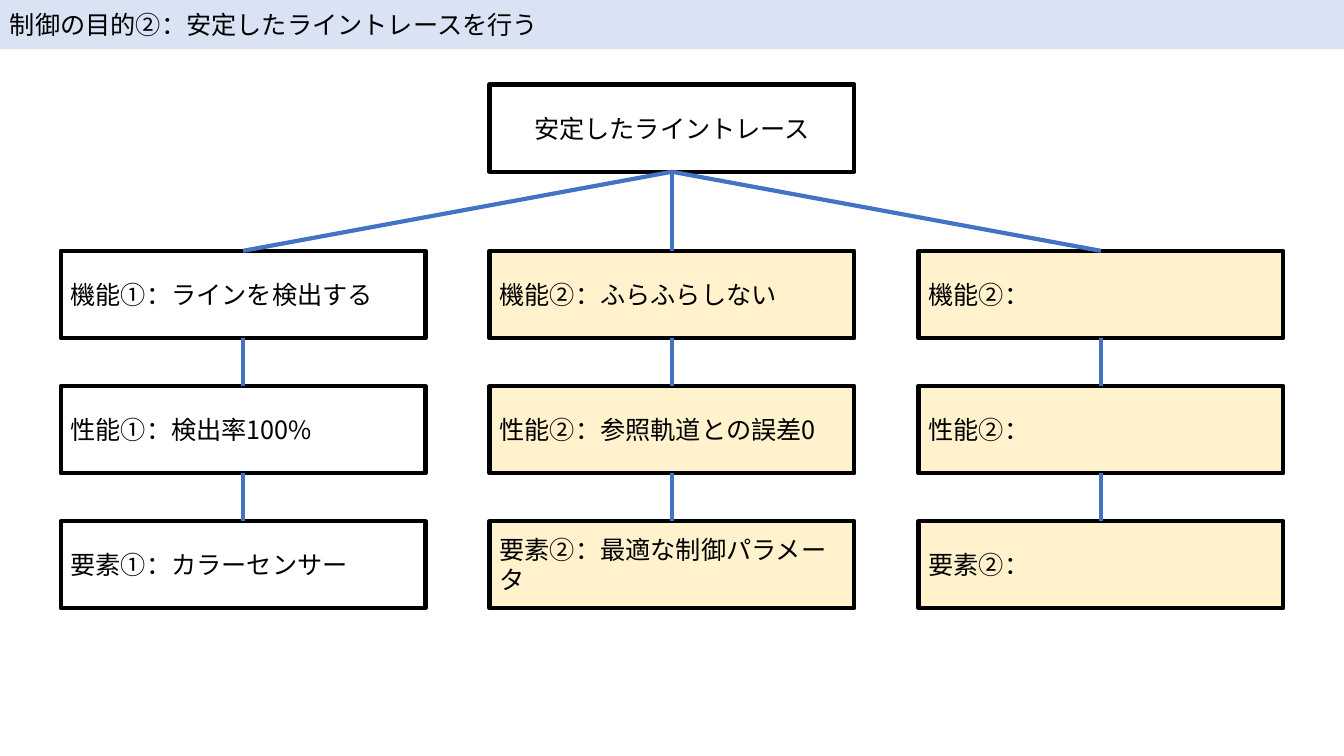
from lxml import etree
from pptx import Presentation
from pptx.dml.color import RGBColor
from pptx.enum.shapes import MSO_CONNECTOR, MSO_SHAPE
from pptx.enum.text import MSO_ANCHOR, PP_ALIGN
from pptx.oxml.ns import qn
from pptx.util import Pt

RECTANGLE = MSO_SHAPE.RECTANGLE
STRAIGHT = MSO_CONNECTOR.STRAIGHT
MIDDLE = MSO_ANCHOR.MIDDLE
LEFT, CENTER = PP_ALIGN.LEFT, PP_ALIGN.CENTER

BLACK = RGBColor(0x00, 0x00, 0x00)
WHITE = RGBColor(0xFF, 0xFF, 0xFF)
CREAM = RGBColor(0xFF, 0xF2, 0xCC)
PALE_BLUE = RGBColor(0xDA, 0xE3, 0xF3)
BLUE = RGBColor(0x44, 0x72, 0xC4)

SLIDE_WIDTH, SLIDE_HEIGHT = 960, 540
HEADER_HEIGHT = 35.2
BOX_WIDTH, BOX_HEIGHT = 260.6, 62.4
GOAL_TOP = 60.3
FIRST_ROW_TOP, ROW_PITCH = 179.2, 96.5
MIDDLE_X, COLUMN_PITCH = SLIDE_WIDTH / 2, 306.4

BRANCHES = [
    (WHITE, ["機能①：ラインを検出する", "性能①：検出率100%", "要素①：カラーセンサー"]),
    (CREAM, ["機能②：ふらふらしない", "性能②：参照軌道との誤差0", "要素②：最適な制御パラメータ"]),
    (CREAM, ["機能②：", "性能②：", "要素②："]),
]


def write_text(frame, text, *, font, size, color=BLACK, align=LEFT):
    frame.word_wrap = True
    frame.vertical_anchor = MIDDLE
    paragraph = frame.paragraphs[0]
    paragraph.alignment = align
    run = paragraph.add_run()
    run.text = text
    run.font.name = font
    run.font.size = Pt(size)
    run.font.color.rgb = color
    etree.SubElement(run.font._element, qn("a:ea"), typeface=font)


class TreeSlide:
    font = "Noto Sans CJK JP"
    text_size = 18
    line_width = 3

    def __init__(self, slide):
        self.slide = slide

    def panel(self, text, left, top, width, height, fill, border=None, align=LEFT):
        panel = self.slide.shapes.add_shape(
            RECTANGLE, Pt(left), Pt(top), Pt(width), Pt(height))
        panel.shadow.inherit = False
        panel.fill.solid()
        panel.fill.fore_color.rgb = fill
        if border is None:
            panel.line.fill.background()
        else:
            panel.line.color.rgb = border
            panel.line.width = Pt(self.line_width)
        write_text(panel.text_frame, text, font=self.font,
                   size=self.text_size, align=align)

    def header(self, text):
        self.panel(text, 0, 0, SLIDE_WIDTH, HEADER_HEIGHT, PALE_BLUE)

    def node(self, text, center_x, top, fill, align=LEFT):
        self.panel(text, center_x - BOX_WIDTH / 2, top, BOX_WIDTH, BOX_HEIGHT,
                   fill, BLACK, align)

    def link(self, start_x, start_y, end_x, end_y):
        link = self.slide.shapes.add_connector(
            STRAIGHT, Pt(start_x), Pt(start_y), Pt(end_x), Pt(end_y))
        link.line.color.rgb = BLUE
        link.line.width = Pt(self.line_width)
        etree.SubElement(link._element.spPr, qn("a:effectLst"))


def main():
    presentation = Presentation()
    presentation.slide_width = Pt(SLIDE_WIDTH)
    presentation.slide_height = Pt(SLIDE_HEIGHT)
    tree = TreeSlide(presentation.slides.add_slide(presentation.slide_layouts[6]))

    tree.header("制御の目的②：安定したライントレースを行う")
    tree.node("安定したライントレース", MIDDLE_X, GOAL_TOP, WHITE, CENTER)

    centers = [MIDDLE_X + offset * COLUMN_PITCH for offset in (-1, 0, 1)]
    for center_x, (fill, steps) in zip(centers, BRANCHES):
        tops = [FIRST_ROW_TOP + row * ROW_PITCH for row in range(len(steps))]
        for step, top in zip(steps, tops):
            tree.node(step, center_x, top, fill)
        for upper_top, lower_top in zip(tops, tops[1:]):
            tree.link(center_x, upper_top + BOX_HEIGHT, center_x, lower_top)
    for center_x in centers:
        tree.link(MIDDLE_X, GOAL_TOP + BOX_HEIGHT, center_x, FIRST_ROW_TOP)

    presentation.save("out.pptx")


if __name__ == "__main__":
    main()
